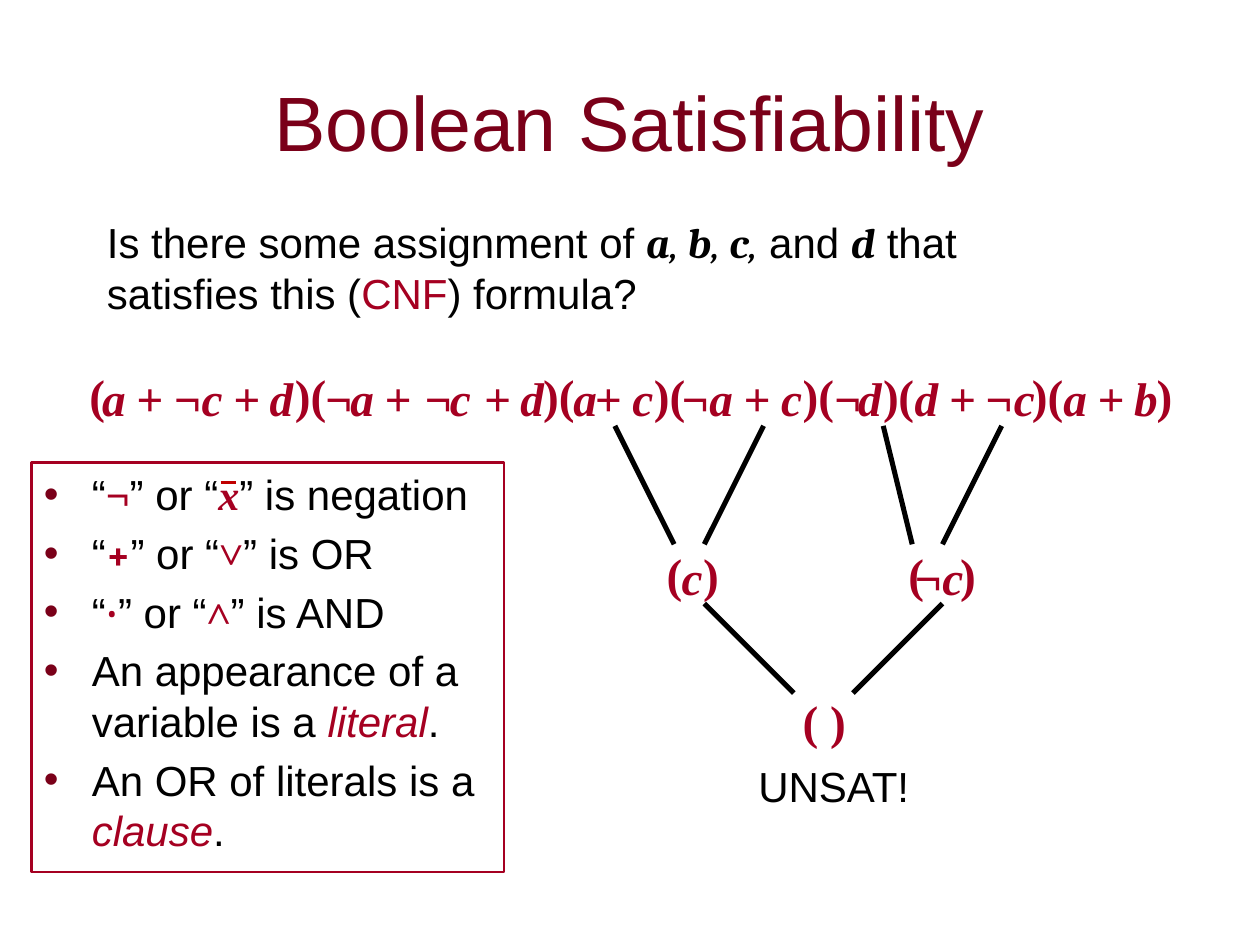
"""Build the Boolean Satisfiability slide with its resolution tree."""
from lxml.etree import SubElement
from pptx import Presentation
from pptx.dml.color import RGBColor as Color
from pptx.enum.shapes import MSO_CONNECTOR as Connector, MSO_SHAPE as Shape
from pptx.enum.text import MSO_ANCHOR as Anchor, MSO_AUTO_SIZE as AutoSize, PP_ALIGN as Align
from pptx.oxml.ns import qn
from pptx.util import Inches, Pt

COLORS = {"maroon": "7A0019", "red": "A50021", "black": "000000", "bar": "C00000"}
STYLES = {
    "title": ("maroon", {"name": "Arial", "size": Pt(44)}),
    "plain": ("black", {"name": "Arial", "size": Pt(24)}),
    "accent": ("red", {"name": "Arial", "size": Pt(24)}),
    "term": ("red", {"name": "Arial", "size": Pt(24), "italic": True}),
    "variable": ("black", {"name": "Cambria", "size": Pt(24), "bold": True, "italic": True}),
    "comma": ("black", {"name": "Cambria", "size": Pt(24), "italic": True}),
    "operator": ("red", {"name": "Cambria", "size": Pt(24), "bold": True}),
    "symbol": ("red", {"name": "Times New Roman", "size": Pt(24), "bold": True}),
    "negated": ("red", {"name": "Times New Roman", "size": Pt(24), "bold": True, "italic": True}),
    "paren": ("red", {"name": "Times New Roman", "size": Pt(27), "bold": True}),
    "literal": ("red", {"name": "Times New Roman", "size": Pt(27), "bold": True, "italic": True}),
}

deck = Presentation()
deck.slide_width, deck.slide_height = Inches(10), Inches(7.5)
page = deck.slides.add_slide(deck.slide_layouts[6])


def add_text(place, paragraphs, **frame_format):
    box = page.shapes.add_textbox(*map(Inches, place))
    for name, value in {"word_wrap": True, **frame_format}.items():
        setattr(box.text_frame, name, value)
    for index, spans in enumerate(paragraphs):
        para = box.text_frame.add_paragraph() if index else box.text_frame.paragraphs[0]
        for text, style in spans:
            span = para.add_run()
            span.text = text
            color, font_format = STYLES[style]
            for name, value in font_format.items():
                setattr(span.font, name, value)
            span.font.color.rgb = Color.from_string(COLORS[color])
    return box


def add_line(start, end, color, width):
    line = page.shapes.add_connector(Connector.STRAIGHT, *map(Inches, start + end))
    line.line.color.rgb = Color.from_string(COLORS[color])
    line.line.width = Pt(width)
    SubElement(line._element.spPr, qn("a:effectLst"))


title = add_text((0.75, 0.33, 8.5, 1.25), [[("Boolean Satisfiability", "title")]],
                 vertical_anchor=Anchor.MIDDLE)
title.text_frame.paragraphs[0].alignment = Align.CENTER

add_text((0.75, 1.67, 8.08, 0.91), [[
    ("Is there some assignment of ", "plain"), ("a", "variable"), (", ", "comma"),
    ("b", "variable"), (", ", "comma"), ("c", "variable"), (",", "comma"),
    (" and ", "plain"), ("d", "variable"), (" that satisfies this (", "plain"),
    ("CNF", "accent"), (") formula?", "plain"),
]])

WIDTHS = {"(": 0.13, ")": 0.13, ")(": 0.25, "( )": 0.35, "a": 0.19, "b": 0.19,
          "c": 0.17, "d": 0.19, "+": 0.22, "¬": 0.23, "¬c": 0.4}
formula_rows = [
    (2.91, [
        (0.71, "("), (0.81, "a"), (1.08, "+"), (1.38, "¬"), (1.6, "c"), (1.85, "+"),
        (2.14, "d"), (2.34, ")("), (2.58, "¬"), (2.78, "a"), (3.05, "+"), (3.37, "¬"),
        (3.57, "c"), (3.84, "+"), (4.13, "d"), (4.31, ")("), (4.55, "a"), (4.72, "+"),
        (5.02, "c"), (5.19, ")("), (5.41, "¬"), (5.63, "a"), (5.9, "+"), (6.2, "c"),
        (6.37, ")("), (6.62, "¬"), (6.81, "d"), (7.01, ")"), (7.13, "("), (7.26, "d"),
        (7.53, "+"), (7.82, "¬c"), (8.19, ")("), (8.44, "a"), (8.71, "+"), (9, "b"),
        (9.18, ")"),
    ]),
    (4.33, [(5.29, "("), (5.41, "c"), (5.58, ")"),
            (7.21, "("), (7.26, "¬"), (7.48, "c"), (7.62, ")")]),
    (5.49, [(6.37, "( )")]),
]
tight = {"margin_left": 0, "margin_right": 0, "margin_top": 0, "margin_bottom": 0,
         "word_wrap": False, "auto_size": AutoSize.SHAPE_TO_FIT_TEXT}
for top, symbols in formula_rows:
    for left, text in symbols:
        is_paren = text[0] in "()"
        style, drop = ("paren", 0) if is_paren else ("literal", 0.02)
        add_text((left, top + drop, WIDTHS[text], 0.45), [[(text, style)]], **tight)

branches = [((4.88, 3.38), (5.35, 4.32)), ((6.06, 3.38), (5.59, 4.32)),
            ((7.01, 3.38), (7.24, 4.32)), ((7.95, 3.38), (7.48, 4.32)),
            ((5.59, 4.79), (6.3, 5.5)), ((7.48, 4.79), (6.77, 5.5))]
for start, end in branches:
    add_line(start, end, "black", 2.88)

add_text((5.92, 5.99, 2, 0.5), [[("UNSAT!", "plain")]])

legend = add_text((0.25, 3.67, 4.42, 3.25), [
    [("“", "plain"), ("¬", "symbol"), ("” or “", "plain"), ("x", "negated"),
     ("” is negation", "plain")],
    [("“", "plain"), ("+", "operator"), ("” or “", "plain"), ("˅", "symbol"),
     ("” is OR", "plain")],
    [("“", "plain"), ("∙", "operator"), ("” or “", "plain"), ("˄", "symbol"),
     ("” is AND", "plain")],
    [("An appearance of a variable is a ", "plain"), ("literal", "term"), (".", "plain")],
    [("An OR of literals is a ", "plain"), ("clause", "term"), (".", "plain")],
])
for index, para in enumerate(legend.text_frame.paragraphs):
    props = para._p.get_or_add_pPr()
    props.set("marL", str(Inches(0.38)))
    props.set("indent", str(Inches(-0.38)))
    bullet_color = SubElement(props, qn("a:buClr"))
    SubElement(bullet_color, qn("a:srgbClr"), val=COLORS["maroon"])
    SubElement(props, qn("a:buFont"), typeface="Arial")
    SubElement(props, qn("a:buChar"), char="•")
    if index:
        para.space_before = Pt(4.8)

legend_border = page.shapes.add_shape(Shape.RECTANGLE, *map(Inches, (0.25, 3.67, 3.75, 3.25)))
legend_border.shadow.inherit = False
legend_border.fill.background()
legend_border.line.color.rgb = Color.from_string(COLORS["red"])
legend_border.line.width = Pt(1.25)

add_line((1.75, 3.83), (1.87, 3.83), "bar", 1.75)

deck.save("out.pptx")
